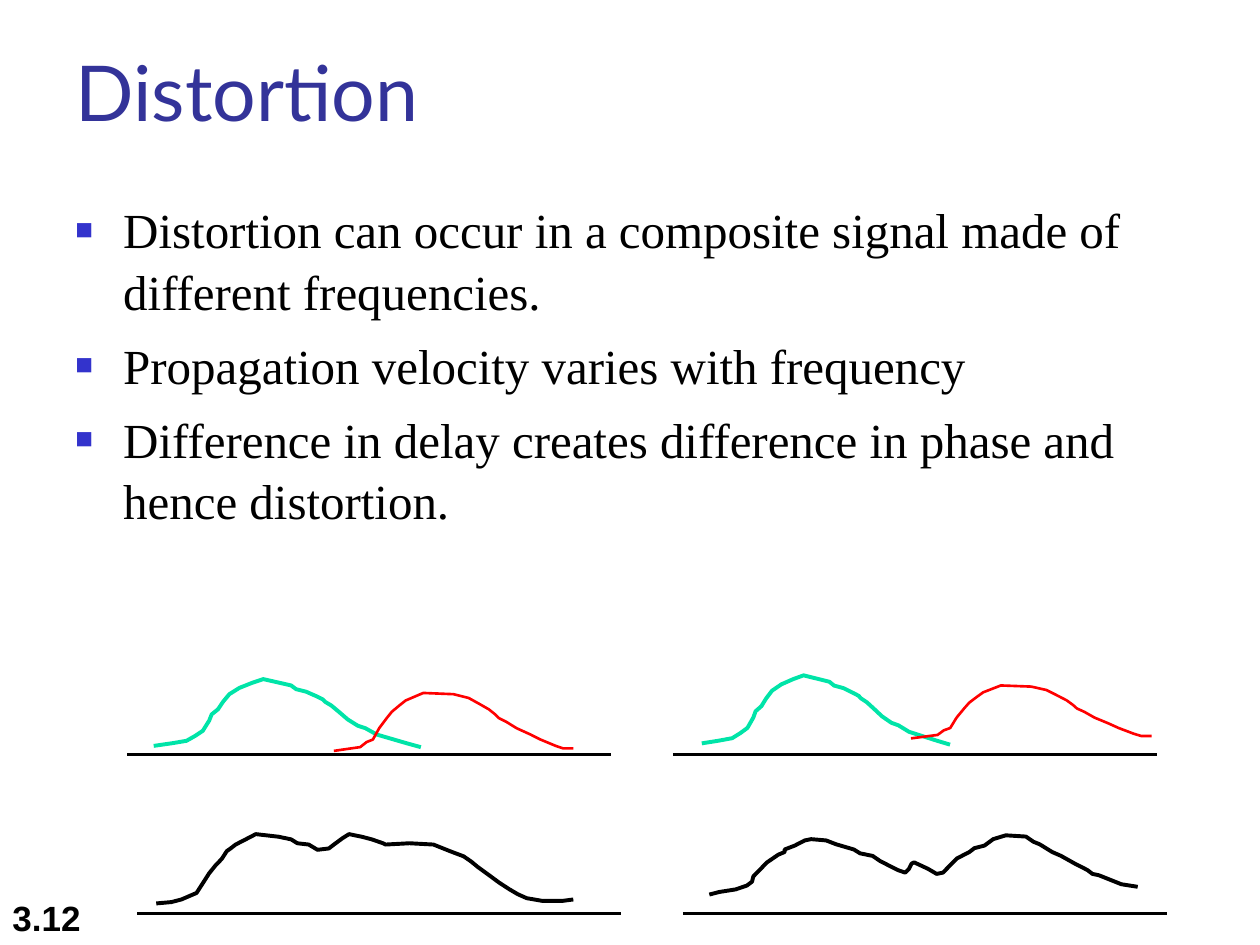
"""Build the slide on signal distortion, with its component and composite waves."""
import lxml.etree
import pptx
import pptx.dml.color
import pptx.enum.shapes
import pptx.enum.text
import pptx.oxml.ns
import pptx.util

theme = {
    "title": ("Lato", 44, "333399"),
    "body": ("Times New Roman", 28, "000000"),
    "page": ("Arial", 20, "000000"),
    "bullet": "3333CC", "paper": "FFFFFF",
    "green": "00E4A8", "red": "FF0000", "black": "000000",
    "thin": 1.5, "thick": 2.25,
}

deck = pptx.Presentation()
deck.slide_width = pptx.util.Inches(10)
deck.slide_height = pptx.util.Inches(7.5)
step = deck.slide_width / 100
slide = deck.slides.add_slide(deck.slide_layouts[5])
shapes = slide.shapes
qn = pptx.oxml.ns.qn
rgb = pptx.dml.color.RGBColor.from_string
anchor = pptx.enum.text.MSO_ANCHOR


def place(item, box):
    """Put an item in a box given in grid steps."""
    item.left, item.top, item.width, item.height = (round(n * step) for n in box)


def write(frame, lines, style, side=anchor.TOP):
    """Fill a text frame, one run to a paragraph."""
    face, size, color = theme[style]
    frame.word_wrap = True
    frame.auto_size = pptx.enum.text.MSO_AUTO_SIZE.NONE
    frame.vertical_anchor = side
    for i, line in enumerate(lines):
        para = frame.add_paragraph() if i else frame.paragraphs[0]
        para.alignment = pptx.enum.text.PP_ALIGN.LEFT
        run = para.add_run()
        run.text = line
        run.font.name = face
        run.font.size = pptx.util.Pt(size)
        run.font.color.rgb = rgb(color)


page = shapes.add_textbox(0, 0, 0, 0)
place(page, (0, 70, 20.8, 5))
write(page.text_frame, ["3.12"], "page", anchor.BOTTOM)
page.text_frame.paragraphs[0].runs[0].font.bold = True

title = shapes.title
place(title, (5, 3, 90, 12.5))
write(title.text_frame, ["Distortion"], "title")

body = shapes.add_textbox(0, 0, 0, 0)
place(body, (5, 15.1, 90, 49.5))
write(body.text_frame, [
    "Distortion can occur in a composite signal made of different frequencies.",
    "Propagation velocity varies with frequency",
    "Difference in delay creates difference in phase and hence distortion.",
], "body")
for para in body.text_frame.paragraphs:
    para.space_before = pptx.util.Pt(7)
    para.line_spacing = 1.05
    props = para._p.get_or_add_pPr()
    props.set("marL", str(round(3.8 * step)))
    props.set("indent", str(round(-3.8 * step)))
    color = lxml.etree.SubElement(props, qn("a:buClr"))
    lxml.etree.SubElement(color, qn("a:srgbClr"), val=theme["bullet"])
    lxml.etree.SubElement(props, qn("a:buSzPct"), val="60000")
    lxml.etree.SubElement(props, qn("a:buFont"), typeface="Arial")
    lxml.etree.SubElement(props, qn("a:buChar"), char="■")

for box in (title, body):
    box.fill.solid()
    box.fill.fore_color.rgb = rgb(theme["paper"])

for left, top in ((10.1, 59.9), (53.4, 59.9), (10.9, 72.5), (54.2, 72.5)):
    ends = (round(n * step) for n in (left, top, left + 38.4, top))
    base = shapes.add_connector(pptx.enum.shapes.MSO_CONNECTOR.STRAIGHT, *ends)
    base.line.color.rgb = rgb(theme["black"])
    base.line.width = pptx.util.Pt(theme["thin"])
    lxml.etree.SubElement(base._element.spPr, qn("a:effectLst"))

first = [
    (122, 592), (136, 590), (148, 588), (155, 584), (161, 580), (166, 572),
    (168, 567), (173, 563), (177, 557), (182, 551), (190, 546), (200, 542),
    (209, 539), (231, 544), (235, 547), (243, 549), (252, 553), (256, 555),
    (258, 557), (263, 560), (269, 565), (276, 571), (284, 576), (290, 578),
    (299, 583), (323, 590), (334, 593),
]
second = [
    (265, 596), (286, 593), (291, 589), (296, 587), (301, 578), (307, 570),
    (311, 565), (317, 560), (322, 556), (329, 553), (336, 550), (360, 551),
    (372, 554), (381, 559), (388, 563), (393, 567), (396, 570), (402, 573),
    (410, 578), (421, 583), (429, 587), (441, 592), (447, 594), (455, 594),
]
merged = [
    (124, 717), (136, 716), (144, 714), (156, 709), (158, 706), (162, 700),
    (166, 694), (171, 688), (176, 683), (180, 677), (183, 675), (187, 672),
    (197, 667), (203, 664), (221, 666), (231, 668), (236, 671), (245, 672),
    (252, 676), (261, 675), (265, 672), (272, 667), (277, 664), (287, 666),
    (295, 668), (304, 671), (306, 672), (325, 671), (344, 672), (357, 677),
    (368, 681), (374, 685), (379, 689), (389, 696), (396, 701), (404, 706),
    (411, 710), (418, 713), (430, 715), (447, 715), (455, 714),
]
skewed = [
    (563, 709), (571, 707), (584, 705), (593, 702), (597, 699), (598, 695),
    (603, 690), (606, 687), (609, 684), (618, 678), (623, 676), (623, 674),
    (631, 671), (639, 667), (644, 666), (656, 667), (664, 670), (678, 674),
    (683, 677), (693, 679), (699, 683), (713, 690), (719, 692), (722, 689),
    (724, 685), (726, 684), (737, 689), (744, 693), (749, 692), (754, 687),
    (760, 681), (764, 679), (770, 676), (774, 673), (782, 671), (789, 666),
    (799, 663), (815, 664), (821, 668), (826, 670), (836, 676), (843, 679),
    (854, 685), (864, 690), (868, 693), (873, 694), (891, 701), (904, 703),
]
for points, box, color, weight in (
    (first, (12.2, 53.9, 21.2, 5.4), "green", "thick"),
    (second, (26.5, 55, 19, 4.6), "red", "thin"),
    (merged, (12.4, 66.2, 33.1, 5.5), "black", "thick"),
    (first, (55.7, 53.6, 19.7, 5.5), "green", "thick"),
    (second, (72.3, 54.4, 19.1, 4.2), "red", "thin"),
    (skewed, (56.3, 66.3, 34, 4.7), "black", "thick"),
):
    pen = shapes.build_freeform(*points[0], scale=step / 10)
    pen.add_line_segments(points[1:], close=False)
    wave = pen.convert_to_shape()
    place(wave, box)
    wave.fill.background()
    wave.shadow.inherit = False
    wave.line.color.rgb = rgb(theme[color])
    wave.line.width = pptx.util.Pt(theme[weight])

deck.save("out.pptx")
